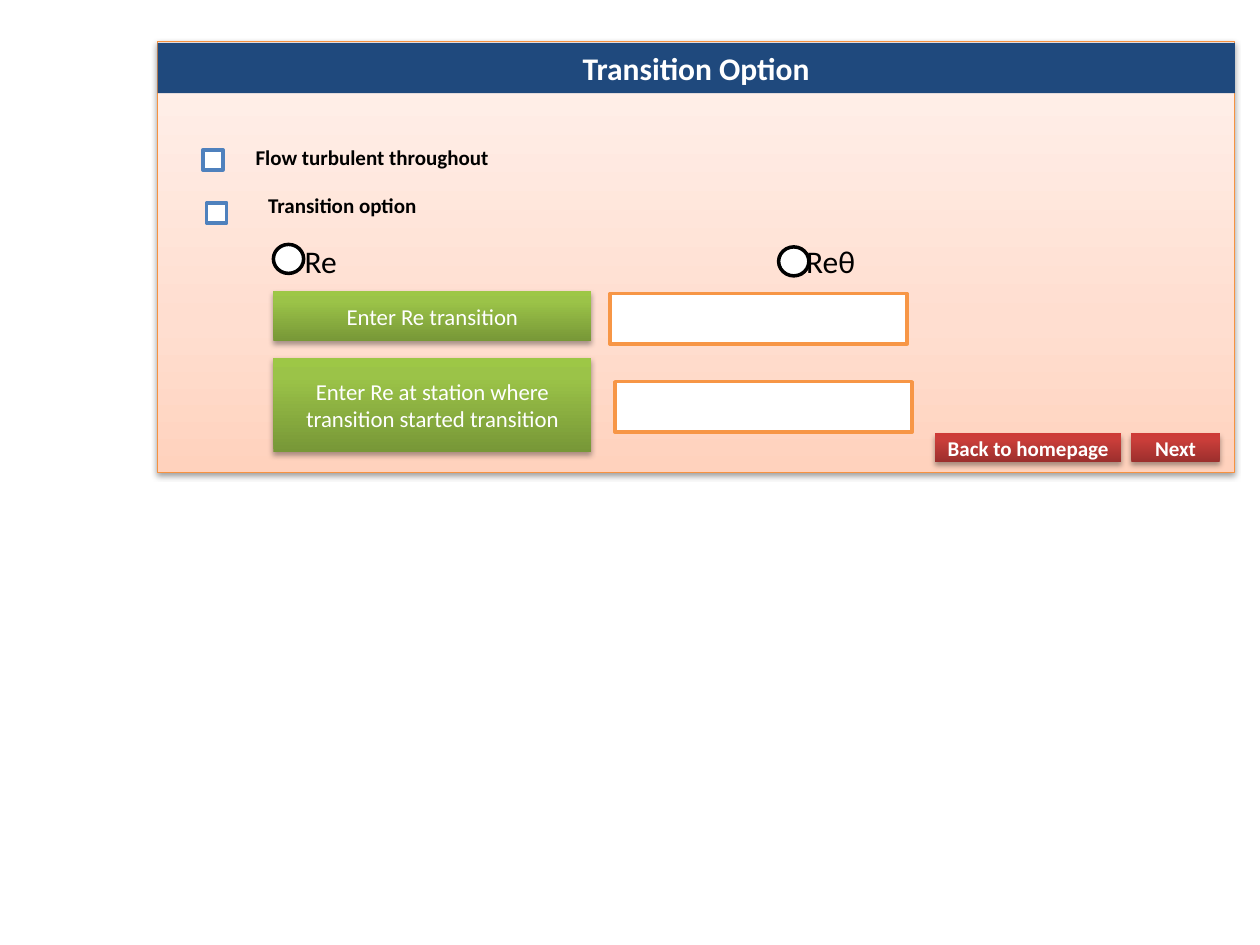
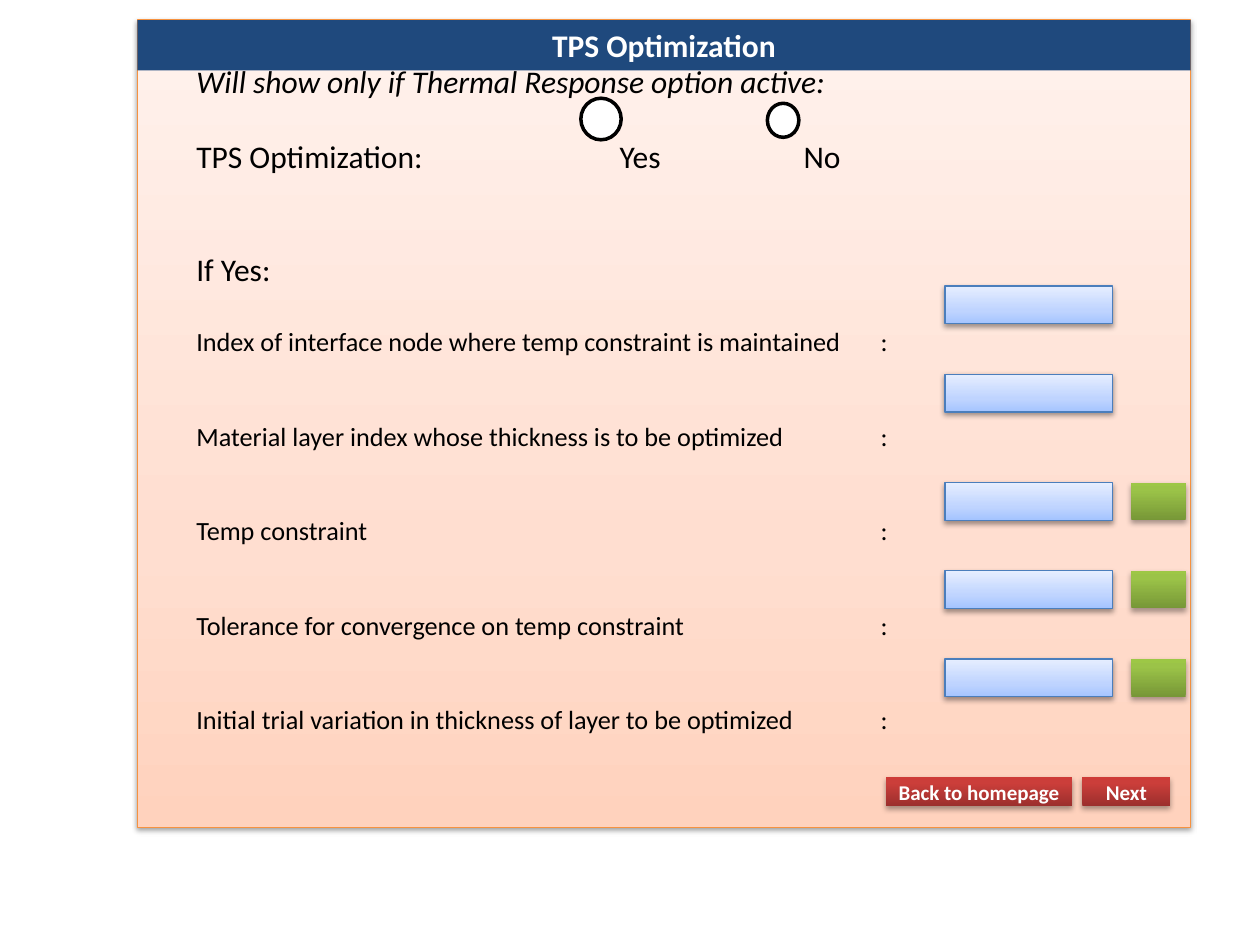
from lxml.etree import SubElement
from pptx import Presentation
from pptx.dml.color import RGBColor
from pptx.enum.shapes import MSO_SHAPE
from pptx.enum.text import MSO_ANCHOR, PP_ALIGN
from pptx.oxml.ns import qn
from pptx.util import Inches, Pt

FONT = "Calibri"
BLACK, WHITE = "000000", "FFFFFF"
SOFT_SHADOW = (38, 20000)
DEEP_SHADOW = (35, 23000)

PANEL = ([(0, "FFD2BD"), (35, "FFDED0"), (100, "FFF2ED")], "F69240", 0.75, SOFT_SHADOW)
TITLE = ("1F497D", None, 0, None)
GREEN = ([(0, "779737"), (80, "9BC348"), (100, "9DC746")], None, 0, DEEP_SHADOW)
RED = ([(0, "9C2F2D"), (80, "CB3E3A"), (100, "CE3B37")], None, 0, DEEP_SHADOW)
BLUE = ([(0, "A4C4FF"), (35, "BFD4FF"), (100, "E6EEFF")], "4B7EBC", 0.75, SOFT_SHADOW)
CHECKBOX = (WHITE, "4F81BD", 2, None)
RADIO = (WHITE, BLACK, 2, None)
ENTRY = (WHITE, "F79646", 2, None)


def add_box(page, place, style, text="", size=12, bold=False, preset=MSO_SHAPE.RECTANGLE):
    fill, line, line_width, shadow = style
    box = page.shapes.add_shape(preset, *map(Inches, place))
    if isinstance(fill, str):
        box.fill.solid()
        box.fill.fore_color.rgb = RGBColor.from_string(fill)
    else:
        box.fill.gradient()
        box.fill.gradient_angle = 90
        stops = box.element.spPr.find(".//" + qn("a:gsLst"))
        for old_stop in list(stops):
            stops.remove(old_stop)
        for position, colour in fill:
            stop = SubElement(stops, qn("a:gs"), pos=str(position * 1000))
            SubElement(stop, qn("a:srgbClr"), val=colour)
    if line:
        box.line.color.rgb = RGBColor.from_string(line)
        box.line.width = Pt(line_width)
    else:
        box.line.fill.background()
    box.shadow.inherit = False
    if shadow:
        opacity, distance = shadow
        effects = box.element.spPr.find(qn("a:effectLst"))
        outer = SubElement(effects, qn("a:outerShdw"), blurRad="40000", dist=str(distance),
                           dir="5400000", rotWithShape="0")
        tint = SubElement(outer, qn("a:srgbClr"), val=BLACK)
        SubElement(tint, qn("a:alpha"), val=str(opacity * 1000))
    if text:
        frame = box.text_frame
        frame.margin_left = frame.margin_right = Inches(0.05)
        frame.vertical_anchor = MSO_ANCHOR.MIDDLE
        para = frame.paragraphs[0]
        para.text = text
        para.alignment = PP_ALIGN.CENTER
        para.font.name = FONT
        para.font.size = Pt(size)
        para.font.bold = bold
        para.font.color.rgb = RGBColor.from_string(WHITE)


def add_text(page, place, lines, bold=False, italic_first=False):
    frame = page.shapes.add_textbox(*map(Inches, place)).text_frame
    frame.word_wrap = True
    for number, (text, size, gap, tabs) in enumerate(lines):
        para = frame.add_paragraph() if number else frame.paragraphs[0]
        para.text = text
        para.space_before = Pt(gap)
        para.font.name = FONT
        para.font.size = Pt(size)
        para.font.bold = bold
        para.font.italic = italic_first and number == 0
        para.font.color.rgb = RGBColor.from_string(BLACK)
        if tabs:
            properties = para._p.get_or_add_pPr()
            tab_list = properties.makeelement(qn("a:tabLst"))
            properties.find(qn("a:defRPr")).addprevious(tab_list)
            for tab in tabs:
                SubElement(tab_list, qn("a:tab"), pos=str(Inches(tab)), algn="l")


deck = Presentation()
deck.slide_width = Inches(10)
deck.slide_height = Inches(7.5)

pages = []
for title, panel, title_top, back_left, back_top in [
    ("Transition Option", (1.25, 0.33, 8.55, 3.42), 0.34, 7.42, 3.44),
    ("TPS Optimization", (1.09, 0.16, 8.36, 6.41), 0.16, 7.03, 6.17),
]:
    page = deck.slides.add_slide(deck.slide_layouts[6])
    add_box(page, panel, PANEL)
    add_box(page, (panel[0], title_top, panel[2], 0.4), TITLE, title, 18, True)
    add_box(page, (back_left, back_top, 1.48, 0.23), RED, "Back to homepage", 12, True)
    add_box(page, (back_left + 1.56, back_top, 0.7, 0.23), RED, "Next", 12, True)
    pages.append(page)
transition_page, optimization_page = pages

for label, box_left, box_top, label_left, label_top, label_width in [
    ("Flow turbulent throughout", 1.61, 1.19, 1.93, 1.1, 2.2),
    ("Transition option", 1.64, 1.61, 2.03, 1.48, 1.5),
]:
    add_box(transition_page, (box_left, box_top, 0.16, 0.16), CHECKBOX)
    add_text(transition_page, (label_left, label_top, label_width, 0.3),
             [(label, 12, 0, [])], bold=True)

add_text(transition_page, (2.32, 1.87, 6.06, 0.4), [("Re\tReθ", 18, 0, [3.98])])
for prompt, top, height, entry_left, entry_top in [
    ("Enter Re transition", 2.31, 0.4, 4.84, 2.33),
    ("Enter Re at station where transition started transition", 2.84, 0.75, 4.88, 3.03),
]:
    add_box(transition_page, (2.17, top, 2.52, height), GREEN, prompt, 13)
    add_box(transition_page, (entry_left, entry_top, 2.36, 0.4), ENTRY)

lines = [
    ("Will show only if Thermal Response option active:", 18, 0, []),
    ("TPS Optimization:\tYes\tNo", 18, 21.5, [3.36, 4.82]),
    ("If Yes:", 18, 43, []),
]
for number, question in enumerate([
    "Index of interface node where temp constraint is maintained",
    "Material layer index whose thickness is to be optimized",
    "Temp constraint",
    "Tolerance for convergence on temp constraint",
    "Initial trial variation in thickness of layer to be optimized",
]):
    lines.append((question + "\t:", 15, 36 if number else 21.5, [5.43]))
add_text(optimization_page, (1.46, 0.44, 8.28, 5.5), lines, italic_first=True)

for page, place in [
    (transition_page, (2.17, 1.94, 0.24, 0.23)),
    (transition_page, (6.18, 1.96, 0.24, 0.23)),
    (optimization_page, (4.61, 0.78, 0.32, 0.33)),
    (optimization_page, (6.09, 0.82, 0.25, 0.27)),
]:
    add_box(page, place, RADIO, preset=MSO_SHAPE.OVAL)

for top, has_unit in [(2.27, False), (2.97, False), (3.83, True), (4.53, True), (5.23, True)]:
    add_box(optimization_page, (7.5, top, 1.33, 0.3), BLUE)
    if has_unit:
        add_box(optimization_page, (8.98, top, 0.43, 0.3), GREEN)

deck.save("out.pptx")
